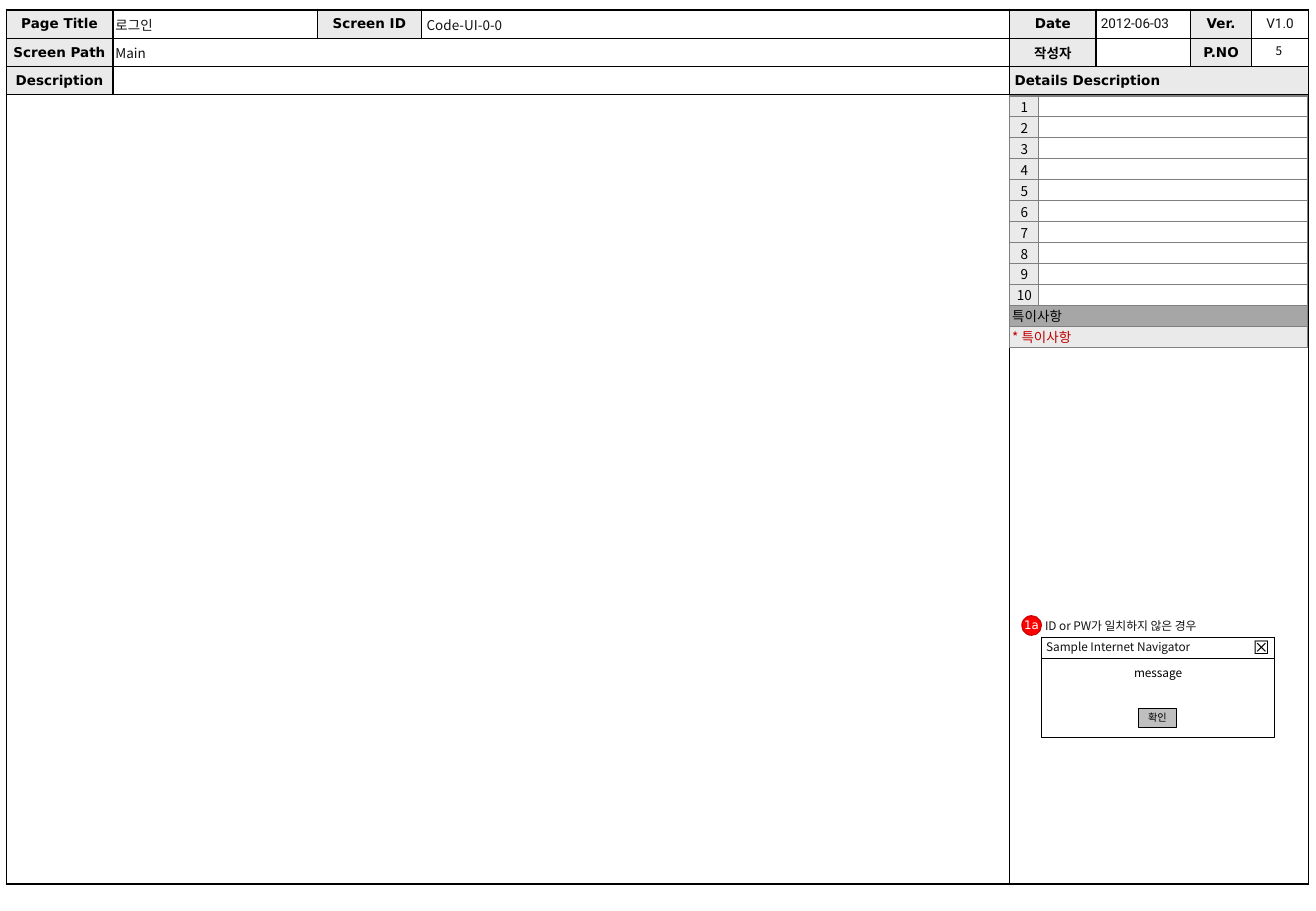
from lxml import etree
from pptx import Presentation
from pptx import util as u
from pptx.dml.color import RGBColor
from pptx.enum import shapes, text
from pptx.oxml import ns

COLORS = {"black": "000000", "ink": "111111", "white": "FFFFFF", "label": "EAEAEA",
          "grid": "7F7F7F", "band": "A6A6A6", "button": "BFBFBF", "note": "C00000",
          "marker": "FF0000", "marker_line": "CC0000"}
SANS, BODY, DATE = "DejaVu Sans", "Noto Sans CJK KR", "Roboto"
ALIGN = {"l": text.PP_ALIGN.LEFT, "c": text.PP_ALIGN.CENTER, "r": text.PP_ALIGN.RIGHT}
ANCHOR = {"t": text.MSO_ANCHOR.TOP, "m": text.MSO_ANCHOR.MIDDLE}


def rgb(name):
    return RGBColor.from_string(COLORS[name])


def write(tf, words, size=8, font=BODY, color="black", bold=False, align="l", spacing=None):
    """Fill the first paragraph; an empty one only gets its size."""
    p = tf.paragraphs[0]
    p.alignment = ALIGN[align]
    if spacing:
        p.line_spacing = spacing
    if not words:
        etree.SubElement(p._p, ns.qn("a:endParaRPr"), sz=str(size * 100))
        return
    r = p.add_run()
    r.text = words
    r.font.size, r.font.name, r.font.bold = u.Pt(size), font, bold
    r.font.color.rgb = rgb(color)
    etree.SubElement(r._r.get_or_add_rPr(), ns.qn("a:ea"), typeface=BODY)


class Sheet:
    def __init__(self, s):
        self.s = s

    def frame(self, sp, words, inset=(0.04, 0.04, 0.04, 0.04), anchor="t", wrap=True, **fmt):
        tf = sp.text_frame
        tf.margin_left, tf.margin_top, tf.margin_right, tf.margin_bottom = map(u.Inches, inset)
        tf.vertical_anchor, tf.word_wrap = ANCHOR[anchor], wrap
        tf.auto_size = text.MSO_AUTO_SIZE.NONE
        write(tf, words, **fmt)

    def title(self, box, words, **fmt):
        sp = self.s.shapes.title
        sp.left, sp.top, sp.width, sp.height = map(u.Inches, box)
        self.frame(sp, words, **fmt)
        sp.element.getparent().append(sp.element)  # in front of the form

    def label(self, box, words, parent=None, **fmt):
        sp = (parent or self.s).shapes.add_textbox(*map(u.Inches, box))
        self.frame(sp, words, **fmt)

    def shape(self, kind, box, words, parent=None, fill=None, line="black", weight=0.75, **fmt):
        sp = (parent or self.s).shapes.add_shape(kind, *map(u.Inches, box))
        sp.shadow.inherit = False
        if fill:
            sp.fill.solid()
            sp.fill.fore_color.rgb = rgb(fill)
        else:
            sp.fill.background()
        sp.line.color.rgb, sp.line.width = rgb(line), u.Pt(weight)
        self.frame(sp, words, **fmt)

    def table(self, box, cols, rows):
        frame = self.s.shapes.add_table(len(rows), len(cols), *map(u.Inches, box))
        tbl = frame.table
        tbl.first_row = tbl.horz_banding = False
        for col, width in zip(tbl.columns, cols):
            col.width = u.Inches(width)
        for row, height in zip(tbl.rows, rows):
            row.height = u.Inches(height)
        return tbl

    def cell(self, cell, words="", fill="white", line="black", top=0.75, bottom=0.75,
             inset=(0.04, 0.02), anchor="m", **fmt):
        cell.margin_left = cell.margin_right = u.Inches(inset[0])
        cell.margin_top = cell.margin_bottom = u.Inches(inset[1])
        cell.vertical_anchor = ANCHOR[anchor]
        cell.fill.solid()
        cell.fill.fore_color.rgb = rgb(fill)
        write(cell.text_frame, words, **fmt)
        tcPr = cell._tc.get_or_add_tcPr()
        for i, (side, weight) in enumerate(zip("LRTB", (0.75, 0.75, top, bottom))):
            ln = etree.Element(ns.qn("a:ln" + side), w=str(u.Pt(weight)))
            paint = etree.SubElement(ln, ns.qn("a:solidFill"))
            etree.SubElement(paint, ns.qn("a:srgbClr"), val=COLORS[line])
            tcPr.insert(i, ln)


prs = Presentation()
prs.slide_width, prs.slide_height = u.Inches(10.83), u.Inches(7.5)
s = prs.slides.add_slide(prs.slide_layouts[5])
sheet = Sheet(s)

# Form: header rows and two large panes
head = dict(fill="label", font=SANS, bold=True, align="c")
value = dict(font=DATE, color="ink")
form_cells = {
    (0, 0): dict(head, words="Page Title"), (0, 2): dict(head, words="Screen ID"),
    (0, 4): dict(head, words="Date"), (0, 5): dict(value, words="2012-06-03"),
    (0, 6): dict(head, words="Ver."), (0, 7): dict(value, words="V1.0", align="c"),
    (1, 0): dict(head, words="Screen Path"), (1, 4): dict(head, words="작성자"),
    (1, 6): dict(head, words="P.NO"), (2, 0): dict(head, words="Description"),
    (2, 4): dict(head, words="Details Description", align="l"),
}
form_rows = [0.24, 0.23, 0.23, 6.5]
form = sheet.table((0.05, 0.08, 10.71, 7.2),
                   [0.88, 1.68, 0.86, 4.84, 0.71, 0.78, 0.5, 0.47], form_rows)
for row, first, last in [(1, 1, 3), (2, 1, 3), (2, 4, 7), (3, 0, 3), (3, 4, 7)]:
    form.cell(row, first).merge(form.cell(row, last))
for row in range(len(form_rows)):
    for col in range(8):
        sheet.cell(form.cell(row, col), top=1.5 if row == 0 else 0.75,
                   bottom=1.5 if row == 3 else 0.75, **form_cells.get((row, col), {}))

# Form entries
entry = dict(color="ink", wrap=False)
sheet.title((0.91, 0.1, 0.42, 0.21), "로그인", **entry)
sheet.label((0.91, 0.33, 0.33, 0.21), "Main", **entry)
sheet.label((3.47, 0.1, 0.71, 0.21), "Code-UI-0-0", **entry)
sheet.label((10.29, 0.34, 0.47, 0.19), "5", size=7, align="c", anchor="m", spacing=0.7,
            inset=(0.1, 0.05, 0.1, 0.05))

# Numbered details and remarks
details = sheet.table((8.31, 0.79, 2.45, 2.07), [0.24, 2.21], [2.07 / 12] * 12)
thin = dict(line="grid", inset=(0.02, 0))
for row in range(10):
    sheet.cell(details.cell(row, 0), str(row + 1), fill="label", align="c", **thin)
    sheet.cell(details.cell(row, 1), **thin)
remarks = [("특이사항", "band", "black"), ("* 특이사항", "label", "note")]
for row, (words, fill, color) in enumerate(remarks, start=10):
    details.cell(row, 0).merge(details.cell(row, 1))
    sheet.cell(details.cell(row, 0), words, fill=fill, color=color, anchor="t", **thin)
    sheet.cell(details.cell(row, 1), fill=fill, **thin)

# Message dialog
RECT, OVAL = shapes.MSO_SHAPE.RECTANGLE, shapes.MSO_SHAPE.OVAL
dialog = s.shapes.add_group_shape()
sheet.shape(RECT, (8.57, 5.25, 1.92, 0.82), "message", dialog, fill="white", size=7,
            align="c", spacing=0.95, inset=(0.04, 0.24, 0.04, 0), wrap=False)
sheet.shape(RECT, (8.57, 5.25, 1.92, 0.17), "☒", dialog, size=11, align="r",
            spacing=0.95, inset=(0.04, 0, 0.04, 0), anchor="m", wrap=False)
caption = dict(size=7, color="ink", inset=(0.04, 0.05, 0.04, 0.05))
sheet.label((8.57, 5.25, 1.56, 0.18), "Sample Internet Navigator", dialog, spacing=0.7, **caption)
sheet.label((8.56, 5.05, 1.78, 0.21), "ID or PW가 일치하지 않은 경우", spacing=0.95, **caption)
sheet.shape(RECT, (9.37, 5.83, 0.31, 0.16), "확인", fill="button", weight=0.5, size=6,
            align="c", spacing=0.95, anchor="m")
sheet.shape(OVAL, (8.41, 5.07, 0.16, 0.16), "1a", fill="marker", line="marker_line", size=7,
            font=SANS, color="white", align="c", spacing=0.95, inset=(0, 0, 0, 0),
            anchor="m", wrap=False)

prs.save("out.pptx")
